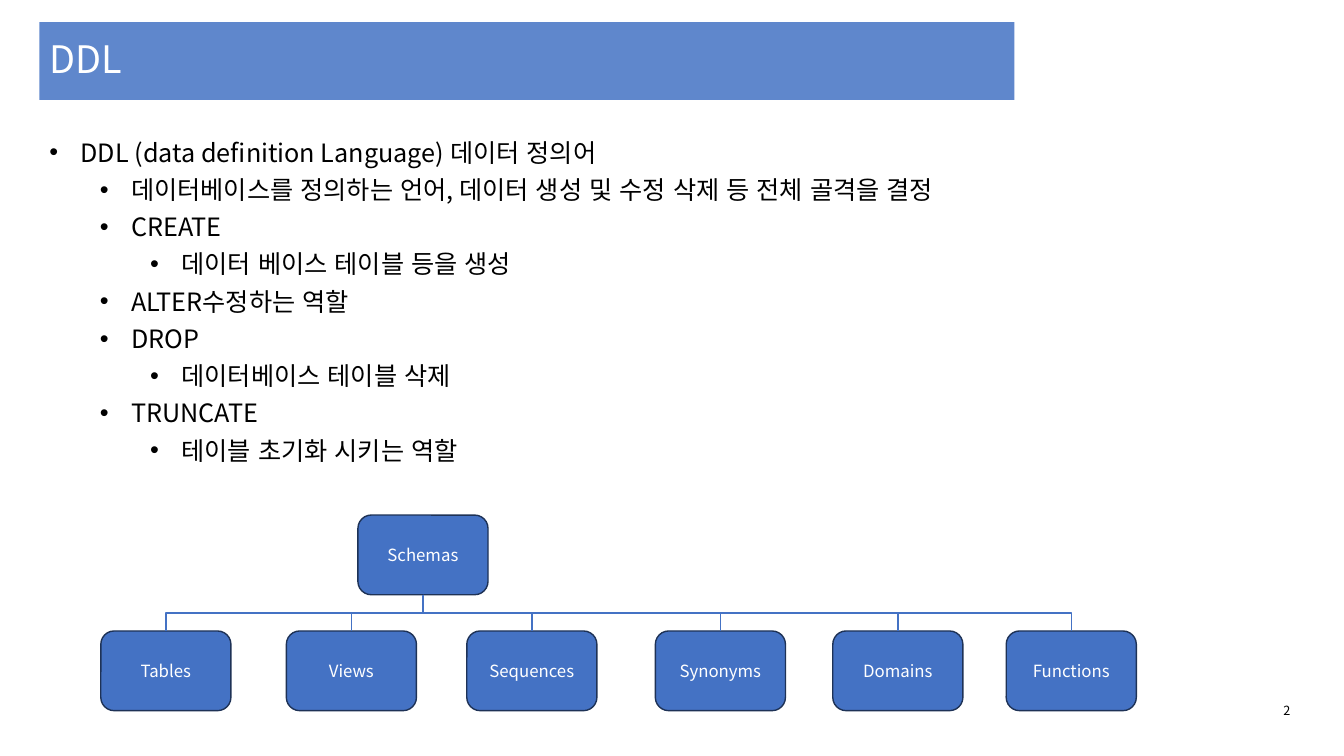
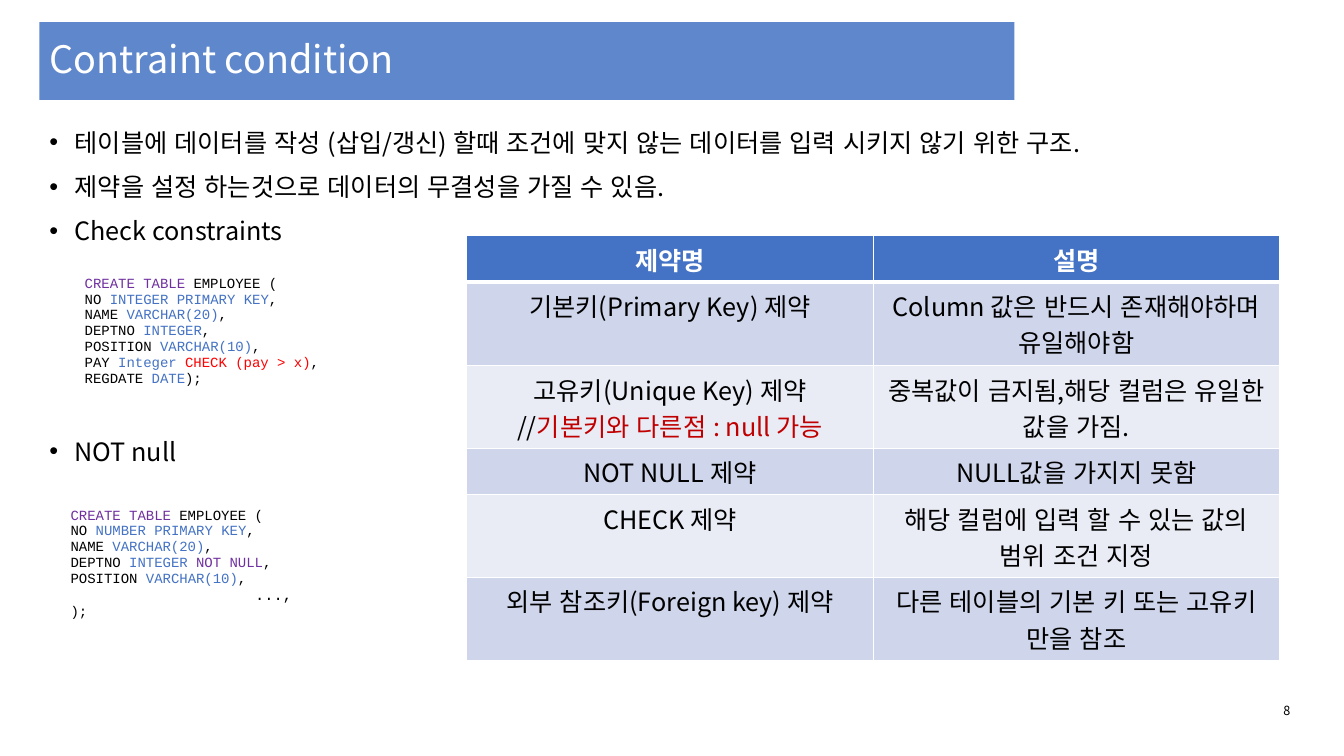
from dataclasses import dataclass

from lxml import etree
from pptx import Presentation
from pptx.dml.color import RGBColor
from pptx.enum.lang import MSO_LANGUAGE_ID
from pptx.enum.shapes import MSO_CONNECTOR, MSO_SHAPE
from pptx.enum.text import MSO_ANCHOR, MSO_AUTO_SIZE, PP_ALIGN
from pptx.oxml.ns import qn
from pptx.util import Pt

EMU_PER_PX = 9144
ELBOW = MSO_CONNECTOR.ELBOW
ROUNDED = MSO_SHAPE.ROUNDED_RECTANGLE
MIDDLE = MSO_ANCHOR.MIDDLE
NO_FIT = MSO_AUTO_SIZE.NONE
LEFT, CENTER = PP_ALIGN.LEFT, PP_ALIGN.CENTER
KOREAN = MSO_LANGUAGE_ID.KOREAN
BOTTOM_SITE, TOP_SITE = 2, 0


@dataclass(frozen=True)
class Theme:
    text_font: str = "Noto Sans CJK KR"
    code_font: str = "Courier New"
    black: str = "000000"
    white: str = "FFFFFF"
    blue: str = "4472C4"
    navy: str = "1E3256"
    purple: str = "7030A0"
    red: str = "FF0000"
    dark_red: str = "C00000"
    row_dark: str = "CFD5EA"
    row_light: str = "E9EBF5"
    band_alpha: int = 85000
    title_size: int = 27
    body_size: int = 18
    node_size: int = 12
    code_size: int = 10
    ellipsis_size: int = 11
    page_size: int = 9
    thin_border: int = 1
    header_border: int = 3


THEME = Theme()

SLIDE_SIZE = (1333, 750)
TITLE_BOX = (39, 22, 967, 77)
PAGE_BOX = (1263, 692, 36, 25)

DDL = {
    "title": "DDL",
    "page": "2",
    "body_box": (39, 131, 1240, 549),
    "hanging": 31,
    "bullets": [
        (0, 10, "DDL (data definition Language) 데이터 정의어"),
        (1, 5, "데이터베이스를 정의하는 언어, 데이터 생성 및 수정 삭제 등 전체 골격을 결정"),
        (1, 5, "CREATE"),
        (2, 5, "데이터 베이스 테이블 등을 생성"),
        (1, 5, "ALTER수정하는 역할"),
        (1, 5, "DROP"),
        (2, 5, "데이터베이스 테이블 삭제"),
        (1, 5, "TRUNCATE"),
        (2, 5, "테이블 초기화 시키는 역할"),
    ],
}
NODE_SIZE = (129, 79)
ROOT = ("Schemas", 355, 511)
CHILD_TOP = 626
CHILDREN = [
    ("Tables", 100), ("Views", 284), ("Sequences", 463),
    ("Synonyms", 650), ("Domains", 826), ("Functions", 998),
]

CONSTRAINT = {
    "title": "Contraint condition",
    "page": "8",
    "body_box": (39, 121, 1240, 549),
    "hanging": 25,
    "bullets": [
        (0, 10, "테이블에 데이터를 작성 (삽입/갱신) 할때 조건에 맞지 않는 데이터를 입력 시키지 않기 위한 구조."),
        (0, 10, "제약을 설정 하는것으로 데이터의 무결성을 가질 수 있음."),
        (0, 10, "Check constraints"),
        (0, 136, "NOT null"),
    ],
}
CREATE_LINE = [("CREATE TABLE ", "purple"), ("EMPLOYEE (", "black")]
NAME_LINE = [("NAME ", "black"), ("VARCHAR(20)", "blue"), (",", "black")]
POSITION_LINE = [("POSITION ", "black"), ("VARCHAR(10)", "blue"), (",", "black")]
CODE_TABLES = [
    ((84, 253, 1150, 150), 65, [
        CREATE_LINE,
        [("NO ", "black"), ("INTEGER PRIMARY KEY", "blue"), (",", "black")],
        NAME_LINE,
        [("DEPTNO ", "black"), ("INTEGER", "blue"), (",", "black")],
        POSITION_LINE,
        [("PAY ", "black"), ("Integer", "blue"), (" CHECK (pay > x)", "red"), (",", "black")],
        [("REGDATE ", "black"), ("DATE", "blue"), (");", "black")],
    ]),
    ((70, 483, 1263, 152), 43, [
        CREATE_LINE,
        [("NO ", "black"), ("NUMBER PRIMARY KEY", "blue"), (",", "black")],
        NAME_LINE,
        [("DEPTNO ", "black"), ("INTEGER ", "blue"), ("NOT NULL", "purple"), (",", "black")],
        POSITION_LINE,
        [("...,", "black")],
        [(");", "black")],
    ]),
]
CODE_TOP_MARGIN = 18
ELLIPSIS = "...,"
ELLIPSIS_INDENT = 183

TABLE_ORIGIN = (463, 234)
COLUMN_WIDTH = 403
ROW_HEIGHTS = [46, 83, 82, 46, 82, 82]
TABLE_ROWS = [
    ("제약명", "설명"),
    ("기본키(Primary Key) 제약", "Column 값은 반드시 존재해야하며 유일해야함"),
    ([[("고유키(Unique Key) 제약", "black")],
      [("//", "black"), ("기본키와 다른점 : null 가능", "dark_red")]],
     "중복값이 금지됨,해당 컬럼은 유일한 값을 가짐."),
    ("NOT NULL 제약", "NULL값을 가지지 못함"),
    ("CHECK 제약", "해당 컬럼에 입력 할 수 있는 값의 범위 조건 지정"),
    ("외부 참조키(Foreign key) 제약", "다른 테이블의 기본 키 또는 고유키 만을 참조"),
]


def px(*lengths):
    return [round(length * EMU_PER_PX) for length in lengths]


def color(name):
    return RGBColor.from_string(getattr(THEME, name))


def set_attributes(target, values):
    for name, value in values.items():
        setattr(target, name, value)


def place(shape, box):
    set_attributes(shape, dict(zip(("left", "top", "width", "height"), px(*box))))


def add_run(paragraph, text, size, color_name, face, bold):
    run = paragraph.add_run()
    run.text = text
    set_attributes(run.font, {
        "name": face, "size": Pt(size), "bold": bold, "language_id": KOREAN})
    run.font.color.rgb = color(color_name)
    etree.SubElement(run.font._element, qn("a:ea"), typeface=face)


def write_paragraphs(frame, lines, size, face=THEME.text_font, bold=False, **formats):
    paragraphs = []
    for index, line in enumerate(lines):
        paragraph = frame.add_paragraph() if index else frame.paragraphs[0]
        set_attributes(paragraph, formats)
        for text, color_name in line:
            add_run(paragraph, text, size, color_name, face, bold)
        paragraphs.append(paragraph)
    return paragraphs


def fill_title(title, text):
    place(title, TITLE_BOX)
    title.fill.solid()
    title.fill.fore_color.rgb = color("blue")
    band_color = next(title.element.iter(qn("a:srgbClr")))
    etree.SubElement(band_color, qn("a:alpha"), val=str(THEME.band_alpha))
    set_attributes(title.text_frame, {
        "vertical_anchor": MIDDLE, "word_wrap": True, "auto_size": NO_FIT})
    write_paragraphs(title.text_frame, [[(text, "white")]], THEME.title_size,
                     alignment=LEFT, line_spacing=0.9, space_before=Pt(10))


def fill_bullets(body, content):
    place(body, content["body_box"])
    set_attributes(body.text_frame, {"word_wrap": True, "auto_size": NO_FIT})
    lines = [[(text, "black")] for _, _, text in content["bullets"]]
    paragraphs = write_paragraphs(body.text_frame, lines, THEME.body_size, line_spacing=1.0)
    for paragraph, (level, before, _) in zip(paragraphs, content["bullets"]):
        set_attributes(paragraph, {"level": level, "space_before": Pt(before)})
        margin, hanging = px(content["hanging"] + 50 * level, content["hanging"])
        properties = paragraph._p.get_or_add_pPr()
        properties.set("marL", str(margin))
        properties.set("indent", str(-hanging))
        etree.SubElement(properties, qn("a:buFont"), typeface="Arial")
        etree.SubElement(properties, qn("a:buChar"), char="•")


def add_content_slide(presentation, content):
    slide = presentation.slides.add_slide(presentation.slide_layouts[1])
    fill_title(slide.shapes.title, content["title"])
    fill_bullets(slide.placeholders[1], content)
    page_frame = slide.shapes.add_textbox(*px(*PAGE_BOX)).text_frame
    page_frame.word_wrap = False
    write_paragraphs(page_frame, [[(content["page"], "black")]], THEME.page_size)
    return slide


def add_node(slide, label, left, top):
    node = slide.shapes.add_shape(ROUNDED, *px(left, top, *NODE_SIZE))
    node.shadow.inherit = False
    node.fill.solid()
    node.fill.fore_color.rgb = color("blue")
    node.line.color.rgb = color("navy")
    node.line.width = Pt(1)
    node.text_frame.vertical_anchor = MIDDLE
    write_paragraphs(node.text_frame, [[(label, "white")]], THEME.node_size,
                     alignment=CENTER)
    return node


def connect_nodes(slide, parent, child):
    start_x, start_y = parent.left + parent.width // 2, parent.top + parent.height
    end_x, end_y = child.left + child.width // 2, child.top
    connector = slide.shapes.add_connector(ELBOW, start_x, start_y, end_x, end_y)
    connector.begin_connect(parent, BOTTOM_SITE)
    connector.end_connect(child, TOP_SITE)
    width, height = end_y - start_y, abs(end_x - start_x)
    set_attributes(connector, {
        "left": (start_x + end_x - width) // 2,
        "top": (start_y + end_y - height) // 2,
        "width": width,
        "height": height,
    })
    to_right = end_x > start_x
    transform = next(connector.element.iter(qn("a:xfrm")))
    transform.set("rot", str((270 if to_right else 90) * 60000))
    transform.set("flipH", "1" if to_right else "0")
    transform.set("flipV", "0")
    connector.line.color.rgb = color("blue")
    connector.line.width = Pt(1)
    etree.SubElement(connector.element.spPr, qn("a:effectLst"))


def add_schema_tree(slide):
    root = add_node(slide, *ROOT)
    for label, left in CHILDREN:
        connect_nodes(slide, root, add_node(slide, label, left, CHILD_TOP))


def add_code_table(slide, box, row_height, lines):
    table = slide.shapes.add_table(1, 1, *px(*box)).table
    set_attributes(table, {"first_row": False, "horz_banding": False})
    table.rows[0].height = px(row_height)[0]
    cell = table.cell(0, 0)
    cell.fill.background()
    set_attributes(cell, {
        "vertical_anchor": MIDDLE, "margin_left": 0, "margin_right": 0,
        "margin_top": px(CODE_TOP_MARGIN)[0], "margin_bottom": 0})
    for paragraph in write_paragraphs(cell.text_frame, lines, THEME.code_size, THEME.code_font):
        if paragraph.text == ELLIPSIS:
            paragraph._p.get_or_add_pPr().set("marL", str(px(ELLIPSIS_INDENT)[0]))
            paragraph.runs[0].font.size = Pt(THEME.ellipsis_size)


def set_borders(cell, widths):
    properties = cell._tc.get_or_add_tcPr()
    for side, width in widths.items():
        border = etree.SubElement(properties, qn(f"a:ln{side}"), w=str(Pt(width)))
        fill = etree.SubElement(border, qn("a:solidFill"))
        etree.SubElement(fill, qn("a:srgbClr"), val=THEME.white)


def add_constraint_table(slide):
    columns = len(TABLE_ROWS[0])
    box = (*TABLE_ORIGIN, COLUMN_WIDTH * columns, sum(ROW_HEIGHTS))
    table = slide.shapes.add_table(len(TABLE_ROWS), columns, *px(*box)).table
    for row_index, (values, height) in enumerate(zip(TABLE_ROWS, ROW_HEIGHTS)):
        table.rows[row_index].height = px(height)[0]
        header = row_index == 0
        fill = "blue" if header else ("row_light", "row_dark")[row_index % 2]
        widths = dict.fromkeys("LRTB", THEME.thin_border)
        if row_index < 2:
            widths["B" if header else "T"] = THEME.header_border
        for column_index, value in enumerate(values):
            cell = table.cell(row_index, column_index)
            set_borders(cell, widths)
            cell.fill.solid()
            cell.fill.fore_color.rgb = color(fill)
            plain = [[(value, "white" if header else "black")]]
            lines = plain if isinstance(value, str) else value
            write_paragraphs(cell.text_frame, lines, THEME.body_size,
                             bold=header, alignment=CENTER)


def main():
    presentation = Presentation()
    set_attributes(presentation, dict(zip(("slide_width", "slide_height"), px(*SLIDE_SIZE))))
    add_schema_tree(add_content_slide(presentation, DDL))
    constraint_slide = add_content_slide(presentation, CONSTRAINT)
    for box, row_height, lines in CODE_TABLES:
        add_code_table(constraint_slide, box, row_height, lines)
    add_constraint_table(constraint_slide)
    presentation.save("out.pptx")


if __name__ == "__main__":
    main()
